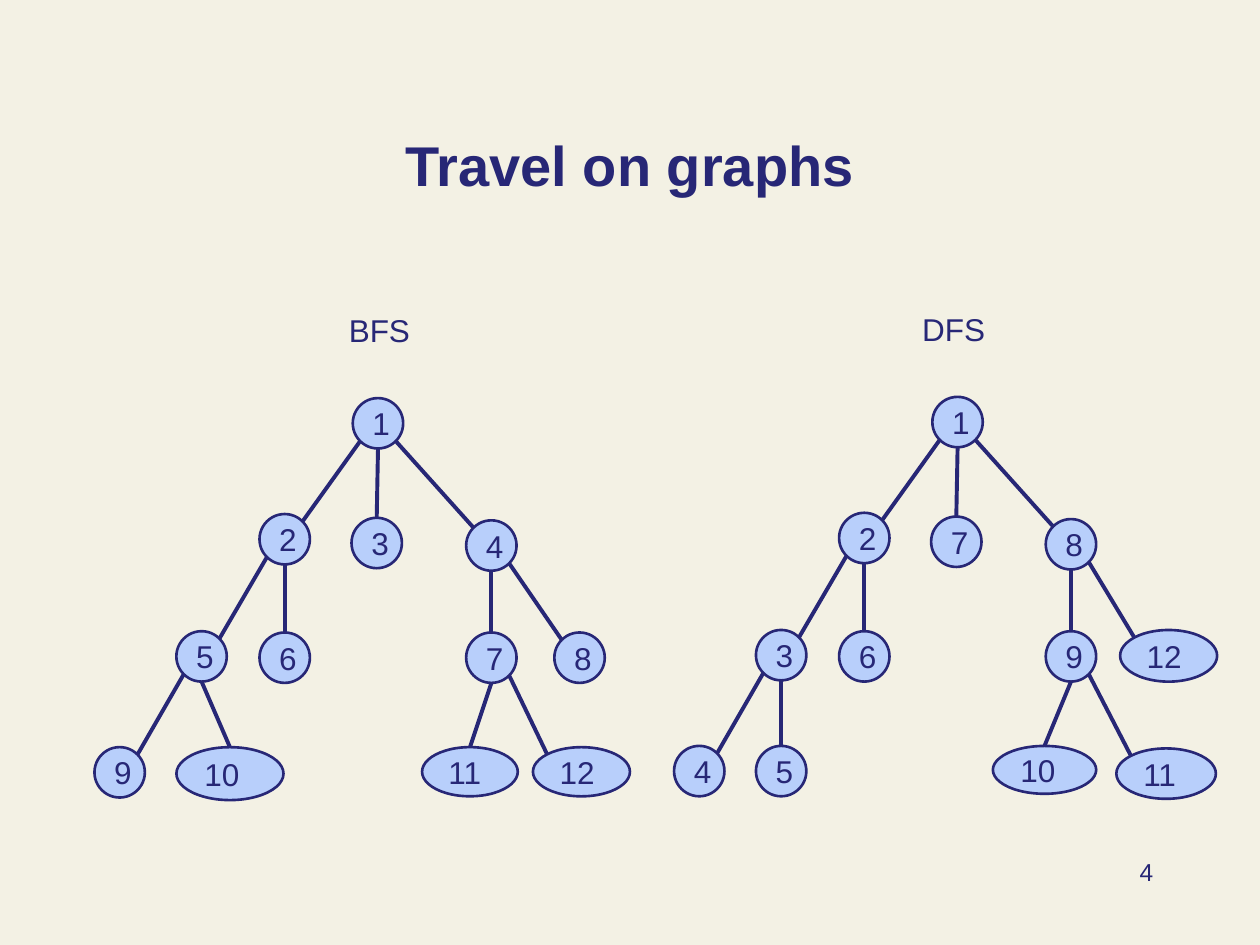
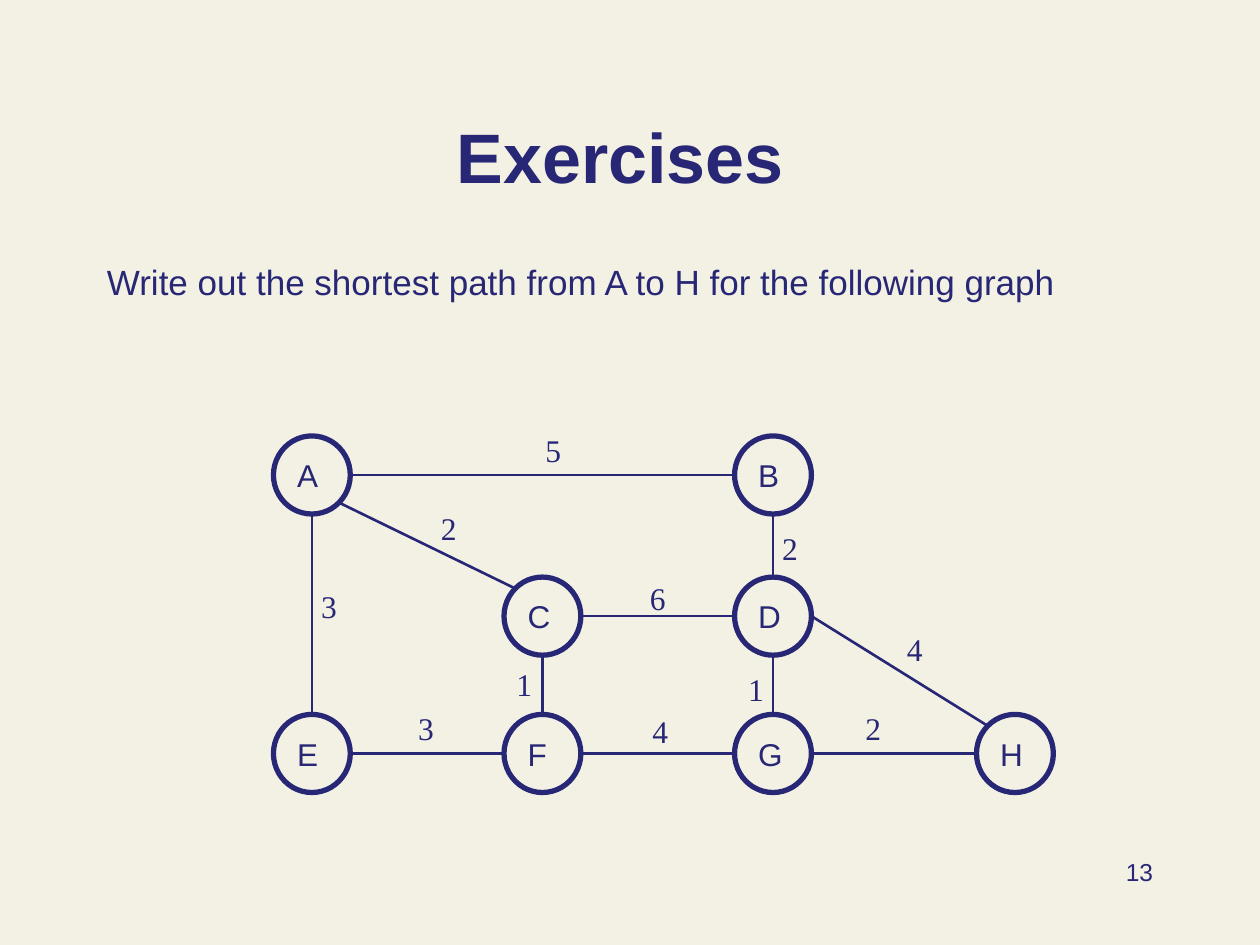
import math

import lxml.etree
import pptx
import pptx.dml.color
import pptx.enum.shapes
import pptx.enum.text
import pptx.oxml.ns
import pptx.util

NAVY = pptx.dml.color.RGBColor(0x27, 0x27, 0x76)
SKY = pptx.dml.color.RGBColor(0xB8, 0xCF, 0xFB)
CREAM = pptx.dml.color.RGBColor(0xF3, 0xF1, 0xE4)
SANS, SERIF = "Arial", "Times New Roman"
COLS, ROWS = 100, 75  # the slide is a grid of square cells
ALIGN = pptx.enum.text.PP_ALIGN
ANCHOR = pptx.enum.text.MSO_ANCHOR

# Connection sites of an ellipse run counter-clockwise from the top.
TOP, TOP_LEFT, LEFT, BOTTOM_LEFT, BOTTOM, BOTTOM_RIGHT, RIGHT, TOP_RIGHT = range(8)

# Tree slots: left, top, width, height, parent slot
SHARED_SLOTS = {
    "root": (20.5, 0, 4, 4, None),
    "left": (13.1, 9.2, 4, 4, "root"),
    "middle": (20.4, 9.5, 4, 4, "root"),
    "right": (29.5, 9.7, 4, 4, "root"),
    "left a": (6.5, 18.5, 4, 4, "left"),
    "left b": (13.1, 18.6, 4, 4, "left"),
    "right a": (29.5, 18.6, 4, 4, "right"),
    "leaf a": (0, 27.7, 4, 4, "left a"),
}
BFS_SLOTS = SHARED_SLOTS | {
    "right b": (36.5, 18.6, 4, 4, "right"),
    "leaf b": (6.5, 27.7, 8.5, 4.2, "left a"),
    "leaf c": (26, 27.7, 7.6, 3.9, "right a"),
    "leaf d": (34.8, 27.7, 7.7, 3.9, "right a"),
}
DFS_SLOTS = SHARED_SLOTS | {
    "right b": (35.4, 18.5, 7.7, 4.1, "right"),
    "leaf b": (6.5, 27.7, 4, 4, "left a"),
    "leaf c": (25.3, 27.7, 8.2, 3.8, "right a"),
    "leaf d": (35.1, 27.9, 7.9, 4, "right a"),
}
# Visit order, listed in slot order
BFS_ORDER = [1, 2, 3, 4, 5, 6, 7, 9, 8, 10, 11, 12]
DFS_ORDER = [1, 2, 7, 8, 3, 6, 9, 4, 12, 5, 10, 11]

GRAPH_COLS = (0, 18.3, 36.6, 55.8)
GRAPH_ROWS = (0, 11.2, 22.1)
VERTICES = {"A": (0, 0), "B": (2, 0), "C": (1, 1), "D": (2, 1),
            "E": (0, 2), "F": (1, 2), "G": (2, 2), "H": (3, 2)}
# Start, its site, end, its site, weight, left and top of the weight
EDGES = [
    ("A", RIGHT, "B", LEFT, 5, 20.6, -0.9),
    ("A", BOTTOM_RIGHT, "C", TOP_LEFT, 2, 12.3, 5.3),
    ("A", BOTTOM, "E", TOP, 3, 2.8, 11.5),
    ("B", BOTTOM, "D", TOP, 2, 39.4, 6.9),
    ("C", RIGHT, "D", LEFT, 6, 28.9, 10.9),
    ("C", BOTTOM, "F", TOP, 1, 18.3, 17.7),
    ("D", BOTTOM, "G", TOP, 1, 36.7, 18.1),
    ("D", RIGHT, "H", TOP_LEFT, 4, 49.3, 14.9),
    ("E", RIGHT, "F", LEFT, 3, 10.5, 21.2),
    ("F", RIGHT, "G", LEFT, 4, 29.1, 21.4),
    ("G", RIGHT, "H", LEFT, 2, 46, 21.2),
]


def cells(*lengths):
    return [pptx.util.Inches(n / 10) for n in lengths]


def write(sp, text, size, font=SANS, bold=False, align=ALIGN.LEFT,
          anchor=ANCHOR.TOP, wrap=True):
    tf = sp.text_frame
    tf.word_wrap = wrap
    tf.vertical_anchor = anchor
    p = tf.paragraphs[0]
    p.text = str(text)
    p.alignment = align
    p.font.size = pptx.util.Pt(size)
    p.font.name = font
    p.font.bold = bold
    p.font.color.rgb = NAVY


def add_text(s, box, text, size, **style):
    write(s.shapes.add_textbox(*cells(*box)), text, size, **style)


def add_node(s, box, label, fill, line_width):
    sp = s.shapes.add_shape(pptx.enum.shapes.MSO_SHAPE.OVAL, *cells(*box))
    sp.shadow.inherit = False
    sp.fill.solid()
    sp.fill.fore_color.rgb = fill
    sp.line.color.rgb = NAVY
    sp.line.width = pptx.util.Pt(line_width)
    write(sp, label, 18, anchor=ANCHOR.MIDDLE, wrap=False)
    return sp


def center_x(sp):
    return sp.left + sp.width / 2


def site_point(sp, site):
    angle = math.radians(45 * site)
    return (round(center_x(sp) - sp.width / 2 * math.sin(angle)),
            round(sp.top + sp.height / 2 * (1 - math.cos(angle))))


def link(s, start, start_site, end, end_site, line_width):
    """Join two nodes at the given connection sites."""
    cxn = s.shapes.add_connector(
        pptx.enum.shapes.MSO_CONNECTOR.STRAIGHT,
        *site_point(start, start_site), *site_point(end, end_site))
    cxn.line.color.rgb = NAVY
    cxn.line.width = pptx.util.Pt(line_width)
    qn = pptx.oxml.ns.qn
    lxml.etree.SubElement(cxn._element.spPr, qn("a:effectLst"))
    joints = cxn._element.find(".//" + qn("p:cNvCxnSpPr"))
    for tag, sp, site in (("a:stCxn", start, start_site),
                          ("a:endCxn", end, end_site)):
        lxml.etree.SubElement(joints, qn(tag), id=str(sp.shape_id),
                              idx=str(site))


def add_base(prs, title, title_size, number):
    """Add a slide with the title and page number that all slides share."""
    s = prs.slides.add_slide(prs.slide_layouts[6])
    add_text(s, (7.5, 5.4, 85, 10.8), title, title_size, bold=True,
             align=ALIGN.CENTER, anchor=ANCHOR.BOTTOM)
    add_text(s, (71.7, 67.5, 20.8, 5), number, 14, align=ALIGN.RIGHT)
    return s


def add_tree(s, left, top, name, name_left, slots, order):
    add_text(s, (left + name_left, top - 7.4, 7, 4), name, 18, wrap=False)
    nodes = {}
    for (slot, (x, y, w, h, parent)), label in zip(slots.items(), order):
        node = add_node(s, (left + x, top + y, w, h), label, SKY, 1.5)
        nodes[slot] = node
        if parent is None:
            continue
        shift = center_x(node) - center_x(nodes[parent])
        if abs(shift) < cells(3)[0]:
            sites = BOTTOM, TOP
        elif shift < 0:
            sites = BOTTOM_LEFT, TOP_RIGHT
        else:
            sites = BOTTOM_RIGHT, TOP_LEFT
        link(s, nodes[parent], sites[0], node, sites[1], 2.25)


def add_weighted_graph(s, left, top):
    nodes = {
        name: add_node(s, (left + GRAPH_COLS[col], top + GRAPH_ROWS[row],
                           6.1, 6.2), name, CREAM, 3)
        for name, (col, row) in VERTICES.items()}
    for start, start_site, end, end_site, weight, x, y in EDGES:
        link(s, nodes[start], start_site, nodes[end], end_site, 1.5)
        add_text(s, (left + x, top + y, 3.3, 4), weight, 18, font=SERIF,
                 wrap=False)


def travel_slide(prs):
    s = add_base(prs, "Travel on graphs", 32, 4)
    add_tree(s, 7.5, 31.6, "BFS", 19.2, BFS_SLOTS, BFS_ORDER)
    add_tree(s, 53.5, 31.5, "DFS", 18.7, DFS_SLOTS, DFS_ORDER)


def exercises_slide(prs):
    s = add_base(prs, "Exercises ", 40, 13)
    add_text(s, (7.5, 20.2, 85, 5),
             "Write out the shortest path from A to H for the following graph",
             20)
    add_weighted_graph(s, 21.7, 34.6)


def main():
    prs = pptx.Presentation()
    prs.slide_width, prs.slide_height = cells(COLS, ROWS)
    background = prs.slide_master.background.fill
    background.solid()
    background.fore_color.rgb = CREAM
    travel_slide(prs)
    exercises_slide(prs)
    prs.save("out.pptx")


if __name__ == "__main__":
    main()
